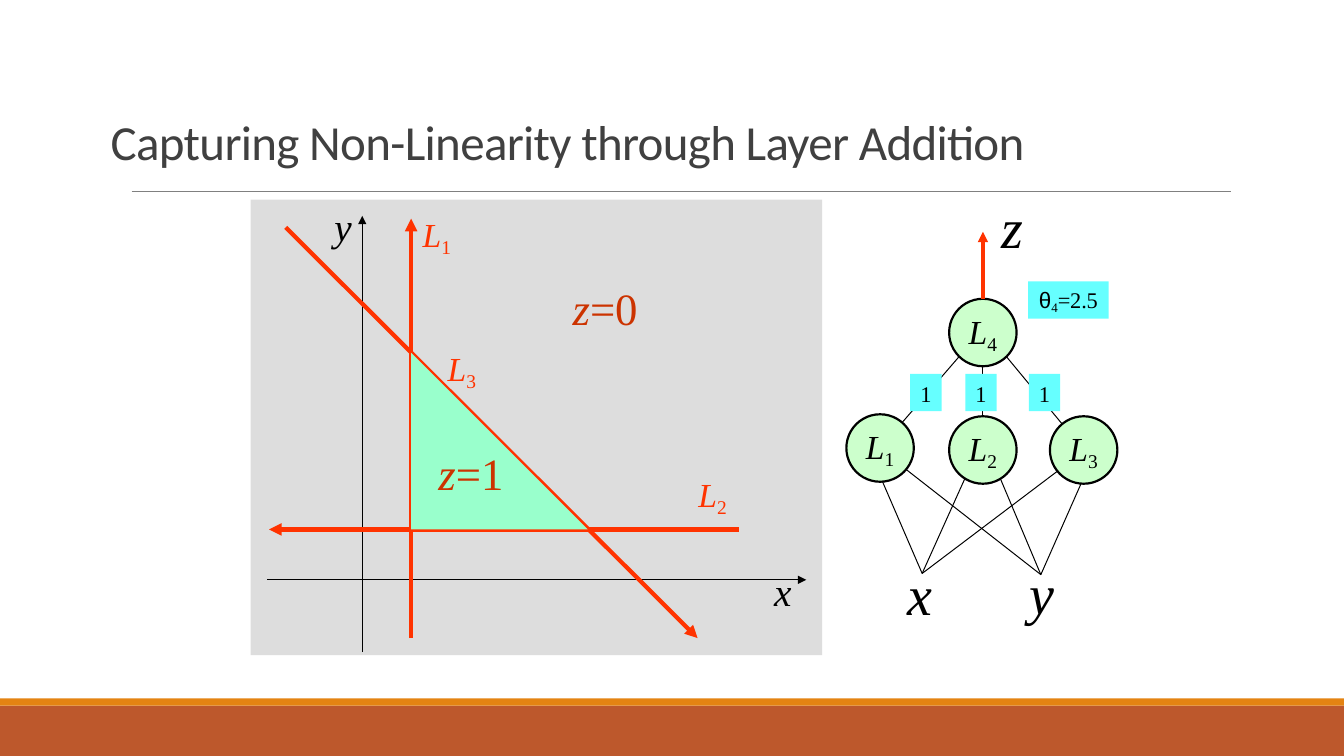
from dataclasses import dataclass

from lxml import etree
from pptx import Presentation
from pptx import util as u
from pptx.dml.color import RGBColor
from pptx.enum import shapes, text
from pptx.oxml.ns import qn

BLACK = RGBColor(0x00, 0x00, 0x00)
TITLE_GREY = RGBColor(0x40, 0x40, 0x40)
RULE_GREY = RGBColor(0x80, 0x80, 0x80)
PANEL_GREY = RGBColor(0xDD, 0xDD, 0xDD)
RUST = RGBColor(0xBD, 0x58, 0x2C)
ORANGE = RGBColor(0xE4, 0x83, 0x12)
RED = RGBColor(0xFF, 0x33, 0x00)
DARK_RED = RGBColor(0xCC, 0x33, 0x00)
MINT = RGBColor(0x99, 0xFF, 0xCC)
PALE_GREEN = RGBColor(0xCC, 0xFF, 0xCC)
CYAN = RGBColor(0x66, 0xFF, 0xFF)

SERIF = "Times New Roman"
NEURON_SIZE = 1.7
OUTPUT_SPREAD, OUTPUT_DROP = 0.43, 0.41
INPUT_SPREAD, INPUT_DROP = 0.22, 0.2


@dataclass(frozen=True)
class Span:
    content: str
    italic: bool = False
    subscript: bool = False
    font: str = SERIF


@dataclass(frozen=True)
class Label:
    left: float
    top: float
    width: float
    height: float
    spans: tuple[Span, ...]
    size: float
    color: RGBColor = BLACK
    spacing: int = -10


@dataclass(frozen=True)
class Line:
    start: tuple[float, float]
    end: tuple[float, float]
    color: RGBColor = BLACK
    width: float = 0.72
    arrow: bool = False


@dataclass(frozen=True)
class Block:
    left: float
    top: float
    width: float
    height: float
    fill: RGBColor
    spans: tuple[Span, ...] = ()


@dataclass(frozen=True)
class Neuron:
    number: int
    x: float
    y: float


def variable(name: str) -> tuple[Span, ...]:
    return (Span(name, italic=True),)


def layer(number: int) -> tuple[Span, ...]:
    return (Span("L", italic=True), Span(str(number), subscript=True))


def output(value: int) -> tuple[Span, ...]:
    return (Span("z", italic=True), Span(f"={value}"))


def write(shape, spans, size: float, color: RGBColor, align, anchor, spacing: int = -10) -> None:
    """Fill the shape's single paragraph, one run per span."""
    frame = shape.text_frame
    frame.word_wrap = False
    frame.vertical_anchor = anchor
    frame.margin_left = frame.margin_right = frame.margin_bottom = 0
    frame.margin_top = u.Cm(0.03)
    para = frame.paragraphs[0]
    para.alignment = align
    for span in spans:
        run = para.add_run()
        run.text = span.content
        run.font.name = span.font
        run.font.size = u.Pt(size)
        run.font.italic = span.italic
        run.font.color.rgb = color
        properties = run._r.get_or_add_rPr()
        properties.set("spc", str(spacing))
        if span.subscript:
            properties.set("baseline", "-21000")


def draw_label(page, label: Label, anchor=text.MSO_ANCHOR.TOP) -> None:
    box = page.shapes.add_textbox(u.Cm(label.left), u.Cm(label.top),
                                  u.Cm(label.width), u.Cm(label.height))
    write(box, label.spans, label.size, label.color, text.PP_ALIGN.LEFT, anchor, label.spacing)


def paint(shape, fill: RGBColor) -> None:
    shape.shadow.inherit = False
    shape.fill.solid()
    shape.fill.fore_color.rgb = fill
    shape.line.fill.background()


def draw_block(page, block: Block) -> None:
    box = page.shapes.add_shape(shapes.MSO_SHAPE.RECTANGLE, u.Cm(block.left), u.Cm(block.top),
                                u.Cm(block.width), u.Cm(block.height))
    paint(box, block.fill)
    if block.spans:
        write(box, block.spans, 16, BLACK, text.PP_ALIGN.CENTER, text.MSO_ANCHOR.MIDDLE)


def draw_line(page, line: Line) -> None:
    connector = page.shapes.add_connector(shapes.MSO_CONNECTOR.STRAIGHT,
                                          *map(u.Cm, line.start + line.end))
    connector.line.color.rgb = line.color
    connector.line.width = u.Pt(line.width)
    if line.arrow:
        etree.SubElement(connector.line._get_or_add_ln(), qn("a:tailEnd"), type="triangle")
    etree.SubElement(connector._element.spPr, qn("a:effectLst"))


def draw_neuron(page, neuron: Neuron) -> None:
    half = NEURON_SIZE / 2
    circle = page.shapes.add_shape(shapes.MSO_SHAPE.OVAL, u.Cm(neuron.x - half),
                                   u.Cm(neuron.y - half), u.Cm(NEURON_SIZE), u.Cm(NEURON_SIZE))
    paint(circle, PALE_GREEN)
    circle.line.color.rgb = BLACK
    circle.line.width = u.Pt(1.56)
    write(circle, layer(neuron.number), 24, BLACK, text.PP_ALIGN.CENTER, text.MSO_ANCHOR.MIDDLE)


def draw_region(page) -> None:
    """Draw the triangle enclosed by the three decision lines."""
    corner, *others = [(u.Cm(x), u.Cm(y)) for x, y in
                       ((10.36, 8.89), (10.36, 13.34), (14.81, 13.34))]
    builder = page.shapes.build_freeform(*corner)
    builder.add_line_segments(others, close=True)
    paint(builder.convert_to_shape(), MINT)


FRAME = (
    Block(0, 17.78, 33.87, 1.27, RUST),
    Block(0, 17.6, 33.87, 0.18, ORANGE),
    Block(6.32, 5.03, 14.4, 11.48, PANEL_GREY),
)
TITLE = Label(2.79, 2.77, 25.7, 1.52,
              (Span("Capturing Non-Linearity through Layer Addition", font="Calibri"),),
              35, TITLE_GREY, -50)
PLOT_LINES = (
    Line((3.32, 4.83), (31.01, 4.83), RULE_GREY, 0.5),
    Line((6.73, 14.61), (20.32, 14.61), width=1, arrow=True),
    Line((9.13, 16.43), (9.13, 5.44), width=1, arrow=True),
    Line((10.36, 16.08), (10.36, 5.51), RED, 3, True),
    Line((18.62, 13.34), (6.78, 13.34), RED, 3, True),
    Line((7.2, 5.73), (17.58, 16.08), RED, 3, True),
)
LABELS = (
    Label(19.51, 14.27, 0.48, 1.24, variable("x"), 28),
    Label(8.43, 5.08, 0.48, 1.24, variable("y"), 28),
    Label(10.65, 5.36, 0.86, 1.09, layer(1), 24, RED),
    Label(17.6, 11.91, 0.86, 1.09, layer(2), 24, RED),
    Label(11.28, 8.74, 0.86, 1.09, layer(3), 24, RED),
    Label(11.05, 11.2, 1.8, 1.42, output(1), 32, DARK_RED, 0),
    Label(14.43, 7.04, 1.8, 1.42, output(0), 32, DARK_RED, 0),
    Label(25.23, 4.83, 0.65, 1.75, variable("z"), 40),
    Label(22.86, 14.07, 0.65, 1.75, variable("x"), 40),
    Label(25.94, 14.05, 0.65, 1.75, variable("y"), 40),
)
HIDDEN = (Neuron(1, 22.18, 11.29), Neuron(2, 24.77, 11.34), Neuron(3, 27.31, 11.34))
TOP = Neuron(4, 24.77, 8.38)
INPUTS = ((-1, (23.24, 14.45)), (1, (26.23, 14.48)))
OUTPUT_ARROW = Line((TOP.x, TOP.y - NEURON_SIZE / 2), (TOP.x, 5.84), RED, 2.5, True)
THRESHOLD = Block(25.91, 7.09, 2.03, 0.94, CYAN,
                  (Span("θ", font="Arial"), Span("4", subscript=True), Span("=2.5")))
WEIGHT_LEFTS = (22.94, 24.33, 25.93)


def draw_network(page) -> None:
    for side, neuron in zip((-1, 0, 1), HIDDEN):
        draw_line(page, Line((TOP.x + side * OUTPUT_SPREAD, TOP.y + OUTPUT_DROP),
                             (neuron.x, neuron.y)))
        for offset, point in INPUTS:
            draw_line(page, Line((neuron.x + offset * INPUT_SPREAD, neuron.y + INPUT_DROP), point))
    for neuron in (TOP, *HIDDEN):
        draw_neuron(page, neuron)
    draw_line(page, OUTPUT_ARROW)
    draw_block(page, THRESHOLD)
    for left in WEIGHT_LEFTS:
        draw_block(page, Block(left, 9.42, 0.79, 0.94, CYAN, (Span("1"),)))


def main() -> None:
    deck = Presentation()
    deck.slide_width, deck.slide_height = u.Cm(33.87), u.Cm(19.05)
    page = deck.slides.add_slide(deck.slide_layouts[6])
    for block in FRAME:
        draw_block(page, block)
    draw_label(page, TITLE, text.MSO_ANCHOR.BOTTOM)
    for line in PLOT_LINES:
        draw_line(page, line)
    draw_region(page)
    draw_network(page)
    for label in LABELS:
        draw_label(page, label)
    deck.save("out.pptx")


if __name__ == "__main__":
    main()
